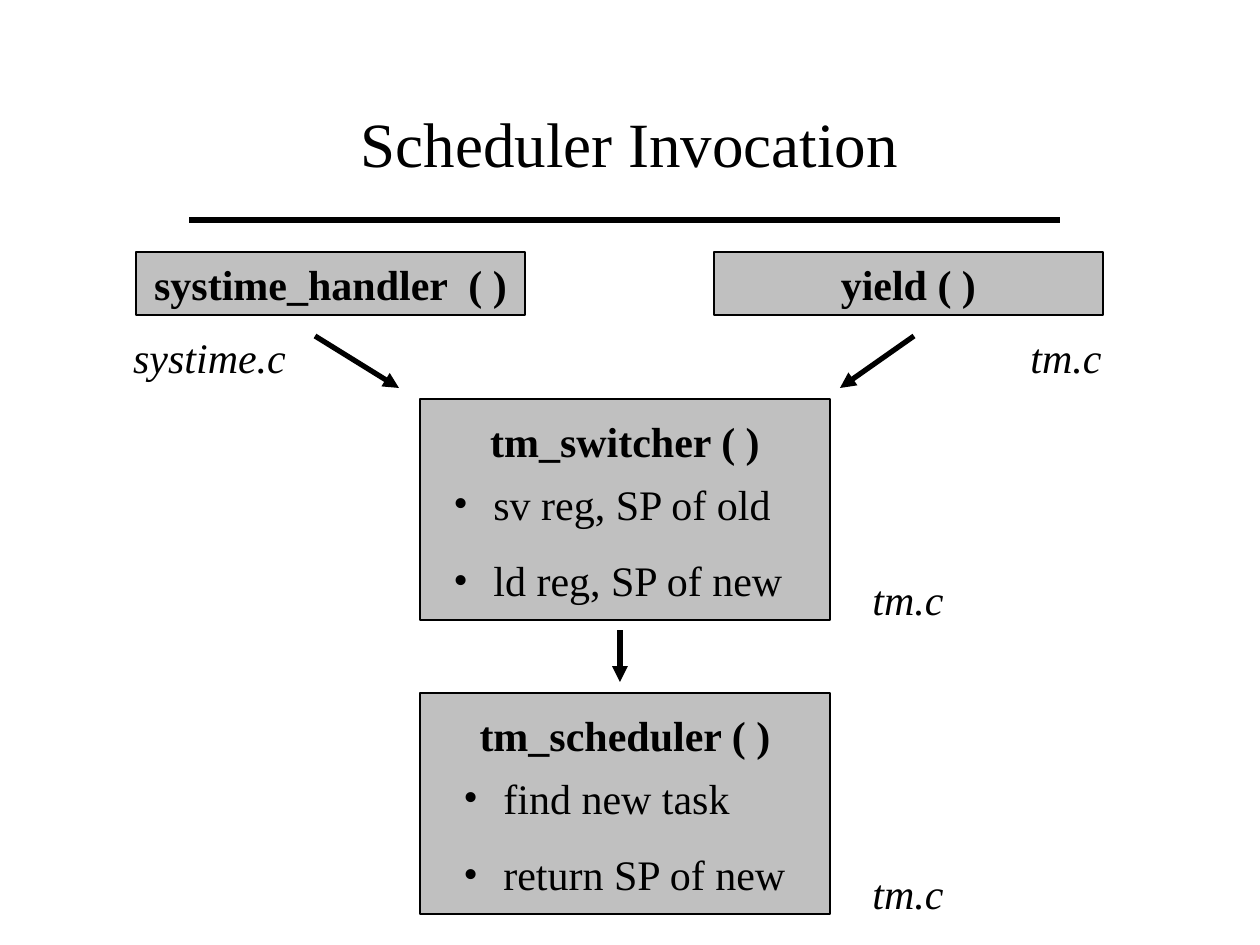
from dataclasses import dataclass

from lxml import etree
from pptx import Presentation
from pptx.dml.color import RGBColor
from pptx.enum.shapes import MSO_CONNECTOR, MSO_SHAPE
from pptx.enum.text import MSO_ANCHOR, PP_ALIGN
from pptx.oxml.ns import qn
from pptx.util import Pt

EMU_PER_PX = 914400 / 126


@dataclass(frozen=True)
class Theme:
    font: str = "Times New Roman"
    ink: RGBColor = RGBColor(0, 0, 0)
    panel: RGBColor = RGBColor(0xC0, 0xC0, 0xC0)
    title_size: float = 36
    body_size: float = 24
    bullet_gap: float = 15
    border: float = 0.75
    arrow: float = 3
    rule: float = 3.5


THEME = Theme()


def px(*lengths):
    return [round(length * EMU_PER_PX) for length in lengths]


def style_text(paragraph, size=THEME.body_size, bold=False, italic=False):
    for span in paragraph.runs:
        font = span.font
        font.name, font.size = THEME.font, Pt(size)
        font.bold, font.italic = bold, italic
        font.color.rgb = THEME.ink


def add_text(page, bounds, text, **style):
    """Place one centred line of text."""
    box = page.shapes.add_textbox(*px(*bounds))
    write_centred(box, text, **style)
    return box


def write_centred(box, text, **style):
    frame = box.text_frame
    frame.word_wrap = True
    frame.text = text
    paragraph = frame.paragraphs[0]
    paragraph.alignment = PP_ALIGN.CENTER
    style_text(paragraph, **style)


def add_panel(page, bounds):
    panel = page.shapes.add_shape(MSO_SHAPE.RECTANGLE, *px(*bounds))
    panel.shadow.inherit = False
    panel.fill.solid()
    panel.fill.fore_color.rgb = THEME.panel
    panel.line.color.rgb = THEME.ink
    panel.line.width = Pt(THEME.border)
    return panel


def add_caller(page, left, name):
    """Draw a panel that holds only a function name."""
    panel = add_panel(page, (left, 252, 389, 63))
    panel.text_frame.vertical_anchor = MSO_ANCHOR.TOP
    write_centred(panel, name, bold=True)


def add_bullets(page, bounds, items):
    box = page.shapes.add_textbox(*px(*bounds))
    frame = box.text_frame
    frame.word_wrap = True
    frame.text = "\n".join(items)
    hang = px(40)[0]
    for index, paragraph in enumerate(frame.paragraphs):
        properties = paragraph._p.get_or_add_pPr()
        properties.set("marL", str(hang))
        properties.set("indent", str(-hang))
        etree.SubElement(properties, qn("a:buFont"), typeface=THEME.font)
        etree.SubElement(properties, qn("a:buChar"), char="•")
        if index:
            paragraph.space_before = Pt(THEME.bullet_gap)
        style_text(paragraph)


def add_function(page, top, name, steps, steps_left):
    """Draw a function panel with its steps and source file."""
    add_panel(page, (420, top, 410, 221))
    add_text(page, (431, top + 10, 388, 63), name, bold=True)
    add_bullets(page, (steps_left, top + 73, 357, 140), steps)
    add_file_name(page, 850, top + 168, "tm.c")


def add_file_name(page, left, top, name, width=116):
    add_text(page, (left, top, width, 63), name, italic=True)


def add_line(page, start, end, weight, arrow=False):
    line = page.shapes.add_connector(
        MSO_CONNECTOR.STRAIGHT, *px(*start, *end))
    line.line.color.rgb = THEME.ink
    line.line.width = Pt(weight)
    if arrow:
        etree.SubElement(line.line._get_or_add_ln(), qn("a:tailEnd"),
                         type="triangle")
    etree.SubElement(line._element.spPr, qn("a:effectLst"))


def main():
    deck = Presentation()
    deck.slide_width, deck.slide_height = px(1260, 945)
    page = deck.slides.add_slide(deck.slide_layouts[6])

    # Title and rule
    title = add_text(page, (94, 84, 1071, 116), "Scheduler Invocation",
                     size=THEME.title_size)
    title.text_frame.vertical_anchor = MSO_ANCHOR.MIDDLE
    add_line(page, (189, 220), (1060, 220), THEME.rule)

    # Callers and their files
    add_caller(page, 136, "systime_handler  ( )")
    add_caller(page, 714, "yield ( )")
    add_file_name(page, 94, 325, "systime.c", width=231)
    add_file_name(page, 1008, 325, "tm.c")

    # Switcher and scheduler
    add_function(page, 399, "tm_switcher ( )",
                 ["sv reg, SP of old", "ld reg, SP of new"], 441)
    add_function(page, 693, "tm_scheduler ( )",
                 ["find new task", "return SP of new"], 451)

    # Call flow
    for start, end in [((315, 336), (399, 388)),
                       ((914, 336), (840, 388)),
                       ((620, 630), (620, 682))]:
        add_line(page, start, end, THEME.arrow, arrow=True)

    deck.save("out.pptx")


if __name__ == "__main__":
    main()
